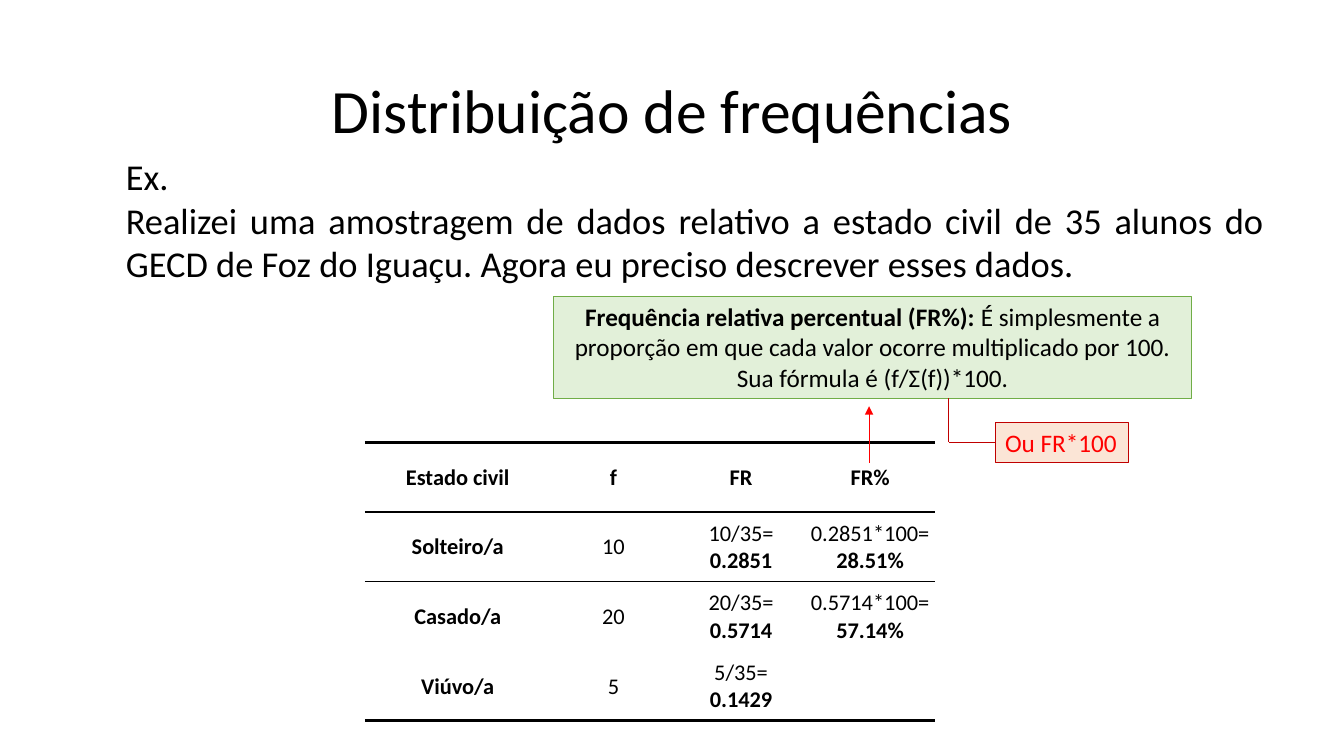
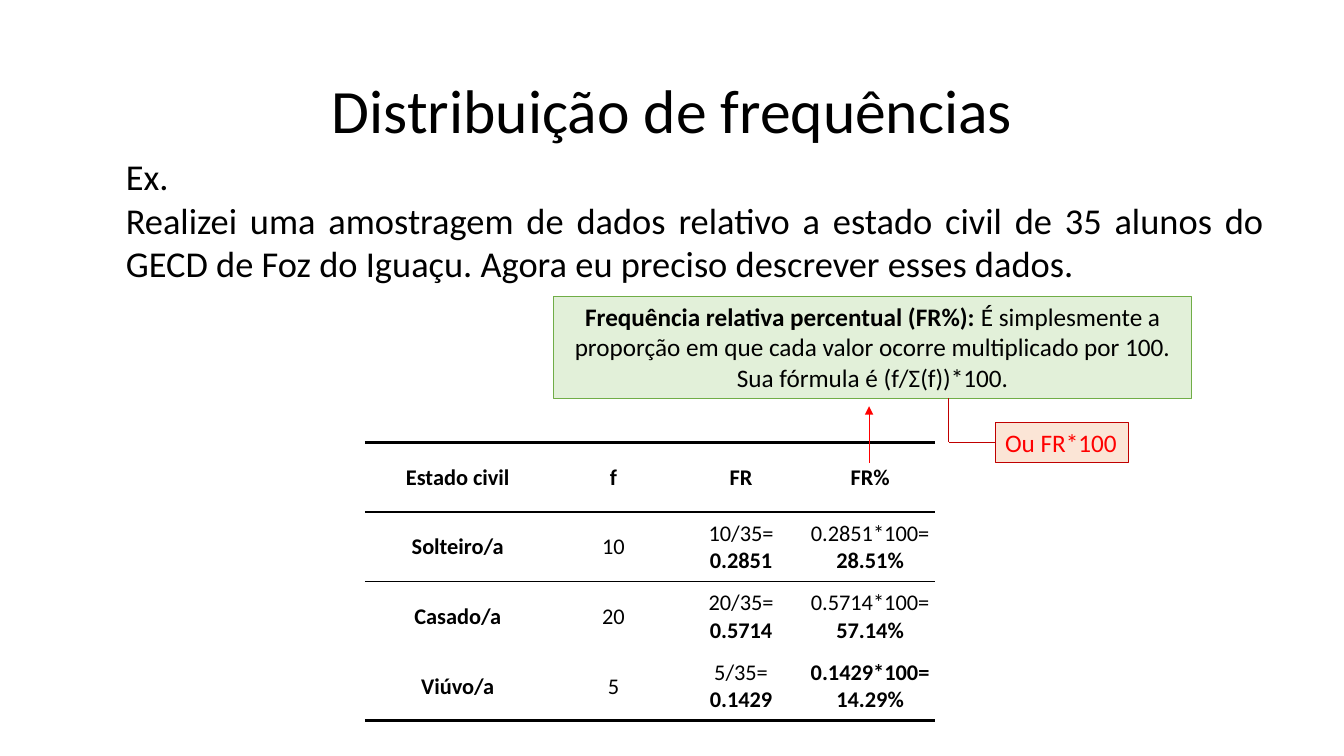
from dataclasses import dataclass
from typing import NamedTuple

from pptx import Presentation
from pptx.dml.color import RGBColor
from pptx.enum.shapes import MSO_CONNECTOR, MSO_SHAPE
from pptx.enum.text import MSO_ANCHOR as Anchor, PP_ALIGN as Align
from pptx.oxml.ns import qn
from pptx.oxml.xmlchemy import OxmlElement
from pptx.util import Pt

PX = 9144  # EMU, 100 px to the inch
FONT = "Calibri"
BLACK, WHITE = "000000", "FFFFFF"
RED, DARK_RED = "FF0000", "C00000"
GREEN, PALE_GREEN, PALE_ORANGE = "70AD47", "E2F0D9", "FBE5D6"


class Run(NamedTuple):
    text: str
    bold: bool = False


class Box(NamedTuple):
    left: int
    top: int
    width: int
    height: int

    def emu(self) -> list[int]:
        return [length * PX for length in self]


@dataclass(frozen=True)
class Callout:
    box: Box
    fill: str
    line: str
    runs: list[Run]
    color: str = BLACK
    align: Align = Align.CENTER
    wrap: bool = True


@dataclass(frozen=True)
class Segment:
    start: tuple[int, int]
    end: tuple[int, int]
    color: str
    arrow: bool = False


TITLE = "Distribuição de frequências"
TITLE_BOX = Box(92, 40, 1150, 145)
EXAMPLE = [
    [Run("Ex.")],
    [Run("Realizei uma amostragem de dados relativo a estado civil de 35 alunos "
         "do GECD de Foz do Iguaçu. Agora eu preciso descrever esses dados.")],
]
EXAMPLE_BOX = Box(115, 148, 1150, 141)

DEFINITION = Callout(
    Box(549, 294, 633, 101), PALE_GREEN, GREEN,
    [Run("Frequência relativa percentual (FR%): ", True),
     Run("É simplesmente a proporção em que cada valor ocorre multiplicado "
         "por 100. Sua fórmula é (f/Σ(f))*100.")])
SHORTCUT = Callout(Box(987, 419, 132, 40), PALE_ORANGE, DARK_RED,
                   [Run("Ou FR*100")], RED, Align.LEFT, wrap=False)
ARROW = Segment((862, 459), (862, 403), RED, arrow=True)
ELBOW = [Segment((941, 395), (941, 439), DARK_RED),
         Segment((941, 439), (987, 439), DARK_RED)]

TABLE_LEFT, TABLE_TOP, ROW_HEIGHT = 362, 439, 69
COLUMN_WIDTHS = [184, 125, 128, 128]
RULES = [2, 1, 1, 0, 2]  # points, from above the header to below the last row


def label(text: str) -> list[list[Run]]:
    return [[Run(text, True)]]


def count(text: str) -> list[list[Run]]:
    return [[Run(text)]]


def result(formula: str, value: str, bold: bool = False) -> list[list[Run]]:
    """Formula on one line, its bold value on the next."""
    return [[Run(formula, bold)], [Run(value, True)]]


HEADER = [label(name) for name in ("Estado civil", "f", "FR", "FR%")]
SINGLE = [label("Solteiro/a"), count("10"), result("10/35=", "0.2851"),
          result("0.2851*100=", "28.51%")]
MARRIED = [label("Casado/a"), count("20"), result("20/35=", "0.5714"),
           result("0.5714*100=", "57.14%")]
WIDOWED = [label("Viúvo/a"), count("5"), result("5/35=", "0.1429")]
WIDOWED_PERCENT = result("0.1429*100=", "14.29%", bold=True)


def rgb(color: str) -> RGBColor:
    return RGBColor.from_string(color)


def write(frame, paragraphs: list[list[Run]], *, size: int, color: str = BLACK,
          align: Align = Align.CENTER, spacing: float = 1.0) -> None:
    for index, runs in enumerate(paragraphs):
        paragraph = frame.add_paragraph() if index else frame.paragraphs[0]
        paragraph.alignment = align
        paragraph.line_spacing = spacing
        for text, bold in runs:
            run = paragraph.add_run()
            run.text = text
            run.font.name = FONT
            run.font.size = Pt(size)
            run.font.bold = bold
            run.font.color.rgb = rgb(color)


def add_text(slide, box: Box, paragraphs: list[list[Run]],
             anchor: Anchor = Anchor.TOP, **text_format) -> None:
    frame = slide.shapes.add_textbox(*box.emu()).text_frame
    frame.word_wrap = True
    frame.vertical_anchor = anchor
    write(frame, paragraphs, **text_format)


def add_callout(slide, callout: Callout) -> None:
    shape = slide.shapes.add_shape(MSO_SHAPE.RECTANGLE, *callout.box.emu())
    shape.shadow.inherit = False
    shape.fill.solid()
    shape.fill.fore_color.rgb = rgb(callout.fill)
    shape.line.color.rgb = rgb(callout.line)
    shape.line.width = Pt(0.75)
    frame = shape.text_frame
    frame.word_wrap = callout.wrap
    frame.vertical_anchor = Anchor.TOP
    write(frame, [callout.runs], size=18, color=callout.color, align=callout.align)


def add_segment(slide, segment: Segment) -> None:
    points = [length * PX for length in segment.start + segment.end]
    connector = slide.shapes.add_connector(MSO_CONNECTOR.STRAIGHT, *points)
    connector.line.color.rgb = rgb(segment.color)
    connector.line.width = Pt(0.5)
    if segment.arrow:
        tail = OxmlElement("a:tailEnd")
        tail.set("type", "triangle")
        connector.line._get_or_add_ln().append(tail)
    connector._element.spPr.append(OxmlElement("a:effectLst"))


def set_border(cell, side: str, points: int) -> None:
    """Draw one cell edge in black; zero points leaves it out."""
    line = OxmlElement(f"a:ln{side}")
    line.set("w", str(Pt(points)))
    fill = OxmlElement("a:solidFill" if points else "a:noFill")
    if points:
        color = OxmlElement("a:srgbClr")
        color.set("val", BLACK)
        fill.append(color)
    line.append(fill)
    cell._tc.get_or_add_tcPr().append(line)


def format_cell(cell, row_index: int) -> None:
    cell.vertical_anchor = Anchor.MIDDLE
    cell.margin_left = cell.margin_right = cell.margin_top = PX
    cell.margin_bottom = 0
    edges = {"L": 0, "R": 0, "T": RULES[row_index], "B": RULES[row_index + 1]}
    for side, points in edges.items():
        set_border(cell, side, points)
    cell.fill.solid()
    cell.fill.fore_color.rgb = rgb(WHITE)


def add_frequency_table(slide, percent: list[list[Run]]) -> None:
    rows = [HEADER, SINGLE, MARRIED, [*WIDOWED, percent]]
    box = Box(TABLE_LEFT, TABLE_TOP, sum(COLUMN_WIDTHS), ROW_HEIGHT * len(rows))
    table = slide.shapes.add_table(len(rows), len(COLUMN_WIDTHS), *box.emu()).table
    table.first_row = table.horz_banding = False
    for column, width in zip(table.columns, COLUMN_WIDTHS):
        column.width = width * PX
    for row_index, row in enumerate(rows):
        for column_index, paragraphs in enumerate(row):
            cell = table.cell(row_index, column_index)
            format_cell(cell, row_index)
            write(cell.text_frame, paragraphs, size=16)


def add_frequency_slide(presentation, percent: list[list[Run]]) -> None:
    slide = presentation.slides.add_slide(presentation.slide_layouts[6])
    add_text(slide, TITLE_BOX, [[Run(TITLE)]], Anchor.MIDDLE, size=44, spacing=0.9)
    add_frequency_table(slide, percent)
    add_callout(slide, DEFINITION)
    add_text(slide, EXAMPLE_BOX, EXAMPLE, size=26, align=Align.JUSTIFY)
    for segment in [ARROW, *ELBOW]:
        add_segment(slide, segment)
    add_callout(slide, SHORTCUT)


def main() -> None:
    presentation = Presentation()
    presentation.slide_width = 1333 * PX
    presentation.slide_height = 750 * PX
    for percent in ([], WIDOWED_PERCENT):
        add_frequency_slide(presentation, percent)
    presentation.save("out.pptx")


if __name__ == "__main__":
    main()
